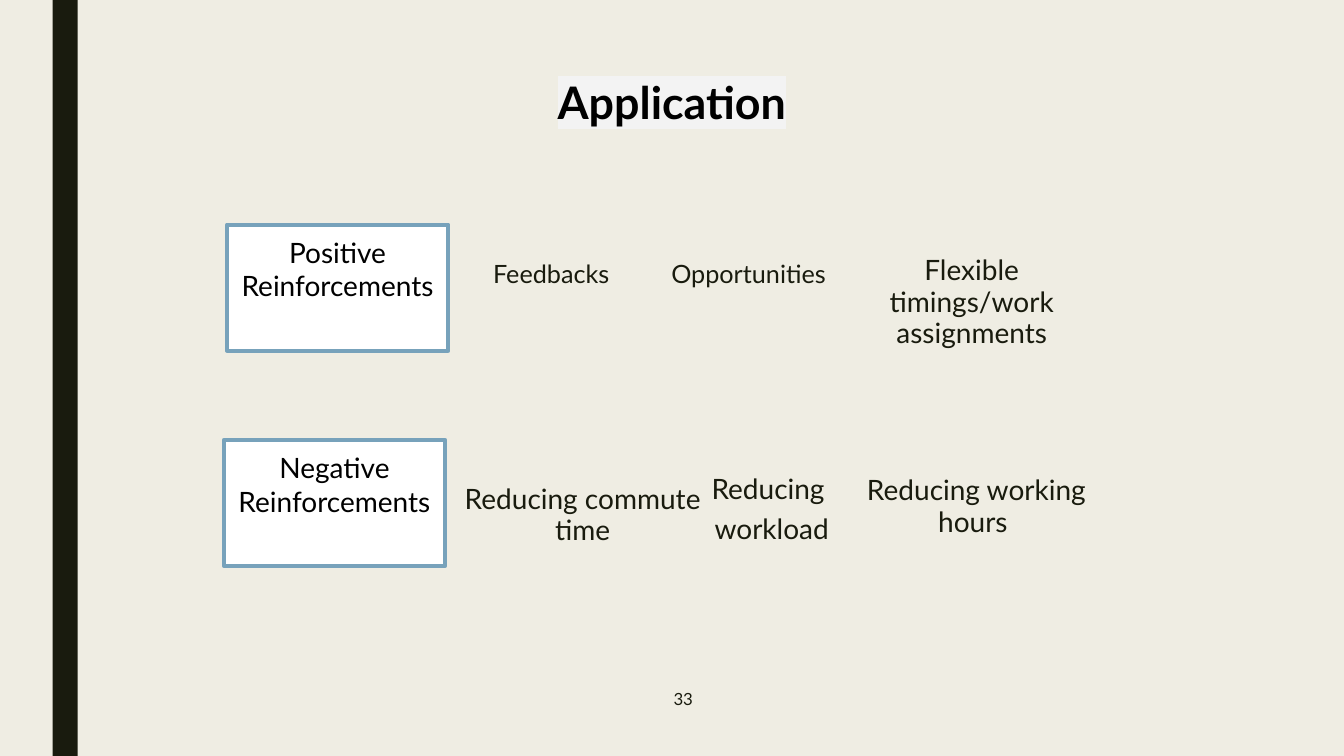
from lxml import etree
from pptx import Presentation
from pptx.dml.color import RGBColor
from pptx.enum.shapes import MSO_SHAPE
from pptx.enum.text import MSO_ANCHOR, MSO_AUTO_SIZE, PP_ALIGN
from pptx.oxml.ns import qn
from pptx.util import Pt

PX = 9525  # EMU per px, 96 px to the inch
FONT = "Lato"
COLORS = {
    "background": "EFEDE3",
    "ink": "191B0E",
    "black": "000000",
    "white": "FFFFFF",
    "border": "77A2BB",
    "highlight": "F3F3F3",
}
RECTANGLE = MSO_SHAPE.RECTANGLE
TOP, MIDDLE, BOTTOM = MSO_ANCHOR.TOP, MSO_ANCHOR.MIDDLE, MSO_ANCHOR.BOTTOM
CENTER, RIGHT = PP_ALIGN.CENTER, PP_ALIGN.RIGHT
NO_AUTOFIT = MSO_AUTO_SIZE.NONE
INSET = 10

CATEGORIES = [
    ("Positive Reinforcements", (216, 214)),
    ("Negative Reinforcements", (213, 419)),
]
CATEGORY_SIZE = (211, 120)

# paragraphs, box in px, font size in pt
EXAMPLES = [
    (["Feedbacks"], (399, 238, 252, 120), 18),
    (["Opportunities"], (587, 238, 252, 153), 18),
    (["Flexible timings/work assignments"], (810, 233, 231, 182), 20),
    (["Reducing commute time"], (429, 451, 252, 182), 20),
    (["Reducing ", "workload"], (609, 442, 252, 182), 20),
    (["Reducing working hours "], (804, 443, 252, 182), 20),
]


def rgb(name):
    return RGBColor.from_string(COLORS[name])


def emu(box):
    return [length * PX for length in box]


def write(shape, paragraphs, size=20, color="ink", bold=False, align=CENTER,
          anchor=TOP, spacing=None, highlight=None):
    frame = shape.text_frame
    frame.word_wrap = True
    frame.auto_size = NO_AUTOFIT
    frame.vertical_anchor = anchor
    frame.margin_left = frame.margin_right = INSET * PX
    frame.margin_top = frame.margin_bottom = INSET * PX
    for index, text in enumerate(paragraphs):
        paragraph = frame.add_paragraph() if index else frame.paragraphs[0]
        paragraph.alignment = align
        if index:
            paragraph.space_before = Pt(6)
        if spacing:
            paragraph.line_spacing = spacing
        run = paragraph.add_run()
        run.text = text
        run.font.name = FONT
        run.font.size = Pt(size)
        run.font.bold = bold
        run.font.color.rgb = rgb(color)
        if highlight:
            mark_run(run, highlight)


def mark_run(run, color):
    """Put a highlight colour behind a run that already has a text colour."""
    highlight = etree.Element(qn("a:highlight"))
    etree.SubElement(highlight, qn("a:srgbClr"), val=COLORS[color])
    run.font._element.find(qn("a:solidFill")).addnext(highlight)


def add_rectangle(slide, box, fill, border=None):
    rectangle = slide.shapes.add_shape(RECTANGLE, *emu(box))
    rectangle.shadow.inherit = False
    rectangle.fill.solid()
    rectangle.fill.fore_color.rgb = rgb(fill)
    if border:
        rectangle.line.color.rgb = rgb(border)
        rectangle.line.width = Pt(2.75)
    else:
        rectangle.line.fill.background()
    return rectangle


def add_label(slide, box, paragraphs, **text_format):
    write(slide.shapes.add_textbox(*emu(box)), paragraphs, **text_format)


def set_title(slide, box, text):
    title = slide.shapes.title
    title.left, title.top, title.width, title.height = emu(box)
    write(title, [text], size=32, color="black", bold=True, anchor=MIDDLE,
          spacing=0.89, highlight="highlight")


def main():
    deck = Presentation()
    deck.slide_width, deck.slide_height = emu((1280, 720))
    slide = deck.slides.add_slide(deck.slide_layouts.get_by_name("Title Only"))
    slide.background.fill.solid()
    slide.background.fill.fore_color.rgb = rgb("background")

    add_rectangle(slide, (50, 0, 24, 720), "ink")
    set_title(slide, (208, 47, 864, 107), "Application")
    for paragraphs, box, size in EXAMPLES:
        add_label(slide, box, paragraphs, size=size, spacing=0.94)
    add_label(slide, (612, 630, 58, 55), ["33"], size=12, align=RIGHT,
              anchor=BOTTOM)
    for category, position in CATEGORIES:
        card = add_rectangle(slide, position + CATEGORY_SIZE, "white", "border")
        write(card, [category], color="black")

    deck.save("out.pptx")


if __name__ == "__main__":
    main()
